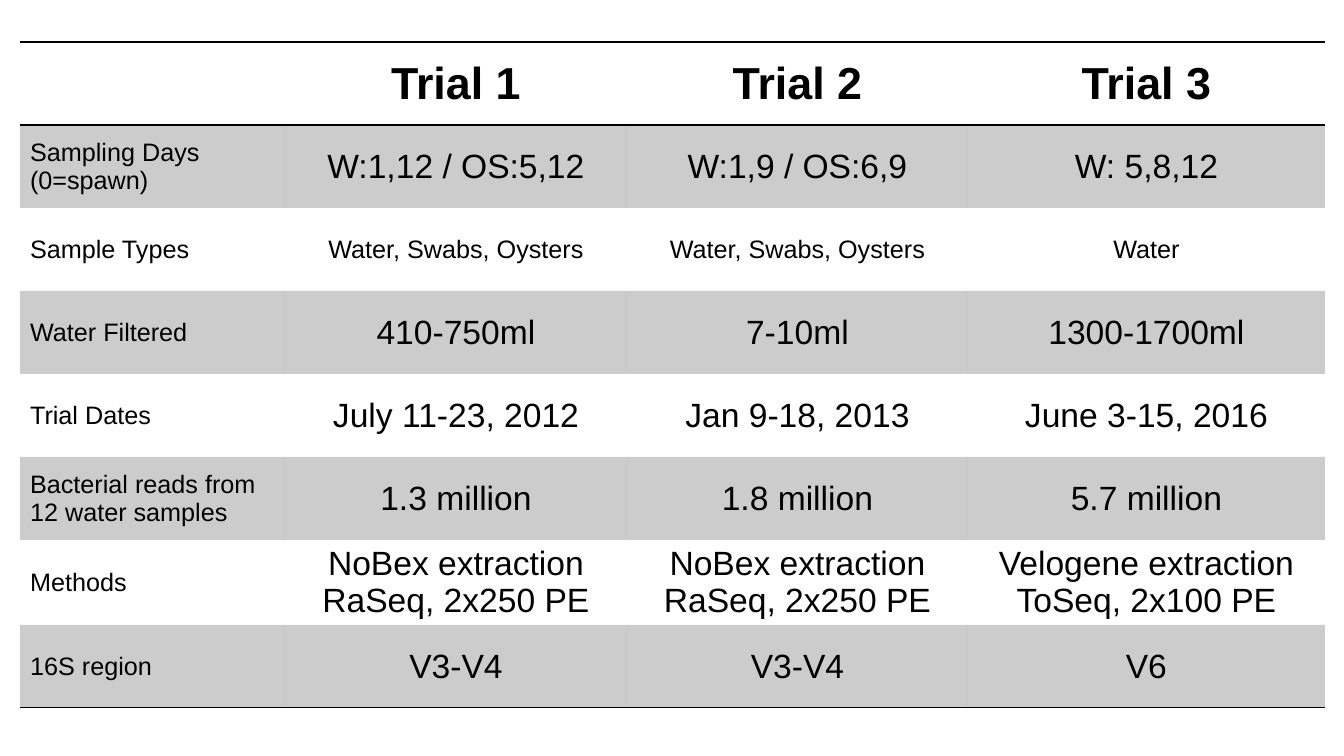
"""Builds a slide with a table comparing three oyster sampling trials."""
import lxml.etree
import pptx
import pptx.dml.color
import pptx.enum.text
import pptx.oxml.ns
import pptx.util

PX = 914400 / 100.8
BLACK = pptx.dml.color.RGBColor(0, 0, 0)
FONT = "Arial"
NO_STYLE = "{2D5ABB26-0587-4C30-8999-92F81FD0307C}"
BAND_ALPHA = 20000
HEADER_SIZE, LABEL_SIZE, VALUE_SIZE = 32, 18, 24

SLIDE_SIZE = (1344, 756)
TABLE_LEFT, TABLE_TOP = 20, 42
COLUMN_WIDTHS = (265, 342, 341, 357)
ROW_HEIGHT = 83

ROWS = [
    ("", "Trial 1", "Trial 2", "Trial 3"),
    ("Sampling Days\n(0=spawn)", "W:1,12 / OS:5,12", "W:1,9 / OS:6,9", "W: 5,8,12"),
    ("Sample Types", "Water, Swabs, Oysters", "Water, Swabs, Oysters", "Water"),
    ("Water Filtered", "410-750ml", "7-10ml", "1300-1700ml"),
    ("Trial Dates", "July 11-23, 2012", "Jan 9-18, 2013", "June 3-15, 2016"),
    ("Bacterial reads from 12 water samples", "1.3 million", "1.8 million", "5.7 million"),
    ("Methods", "NoBex extraction\nRaSeq, 2x250 PE", "NoBex extraction\nRaSeq, 2x250 PE",
     "Velogene extraction\nToSeq, 2x100 PE"),
    ("16S region", "V3-V4", "V3-V4", "V6"),
]
LAST_ROW = len(ROWS) - 1
SMALL_VALUES_ROW = 2


def px(length):
    return pptx.util.Emu(round(length * PX))


def add_child(parent, tag, **attributes):
    return lxml.etree.SubElement(parent, pptx.oxml.ns.qn(tag), **attributes)


def set_borders(cell, row):
    properties = cell._tc.get_or_add_tcPr()
    drawn = {"a:lnT": row in (0, 1), "a:lnB": row in (0, LAST_ROW)}
    for side in ("a:lnL", "a:lnR", "a:lnT", "a:lnB"):
        if drawn.get(side):
            line = add_child(properties, side, w=str(pptx.util.Pt(1)))
            add_child(add_child(line, "a:solidFill"), "a:srgbClr", val=str(BLACK))
        else:
            add_child(add_child(properties, side, w="0"), "a:noFill")


def set_fill(cell, row):
    if row % 2 == 0:
        cell.fill.background()
        return
    cell.fill.solid()
    cell.fill.fore_color.rgb = BLACK
    color = cell._tc.tcPr.find(".//" + pptx.oxml.ns.qn("a:solidFill") + "[last()]/..")
    band = cell._tc.tcPr.find(pptx.oxml.ns.qn("a:solidFill"))
    add_child(band[0], "a:alpha", val=str(BAND_ALPHA))


def set_text(cell, text, row, column):
    cell.vertical_anchor = pptx.enum.text.MSO_ANCHOR.MIDDLE
    cell.text_frame.text = text
    if row == 0:
        size = HEADER_SIZE
    elif column == 0 or row == SMALL_VALUES_ROW:
        size = LABEL_SIZE
    else:
        size = VALUE_SIZE
    alignment = pptx.enum.text.PP_ALIGN
    for paragraph in cell.text_frame.paragraphs:
        paragraph.alignment = alignment.CENTER if column else alignment.LEFT
        for run in paragraph.runs:
            run.font.name = FONT
            run.font.size = pptx.util.Pt(size)
            run.font.bold = row == 0
            run.font.color.rgb = BLACK


def add_trial_table(slide):
    frame = slide.shapes.add_table(
        len(ROWS), len(COLUMN_WIDTHS), px(TABLE_LEFT), px(TABLE_TOP),
        px(sum(COLUMN_WIDTHS)), px(ROW_HEIGHT * len(ROWS)))
    table = frame.table
    table.first_row = table.horz_banding = False
    table._tbl.tblPr.find(pptx.oxml.ns.qn("a:tableStyleId")).text = NO_STYLE
    for column, width in zip(table.columns, COLUMN_WIDTHS):
        column.width = px(width)
    for row, texts in enumerate(ROWS):
        table.rows[row].height = px(ROW_HEIGHT)
        for column, text in enumerate(texts):
            cell = table.cell(row, column)
            set_text(cell, text, row, column)
            set_borders(cell, row)
            set_fill(cell, row)


def main():
    presentation = pptx.Presentation()
    presentation.slide_width, presentation.slide_height = map(px, SLIDE_SIZE)
    slide = presentation.slides.add_slide(presentation.slide_layouts[6])
    add_trial_table(slide)
    presentation.save("out.pptx")


if __name__ == "__main__":
    main()
